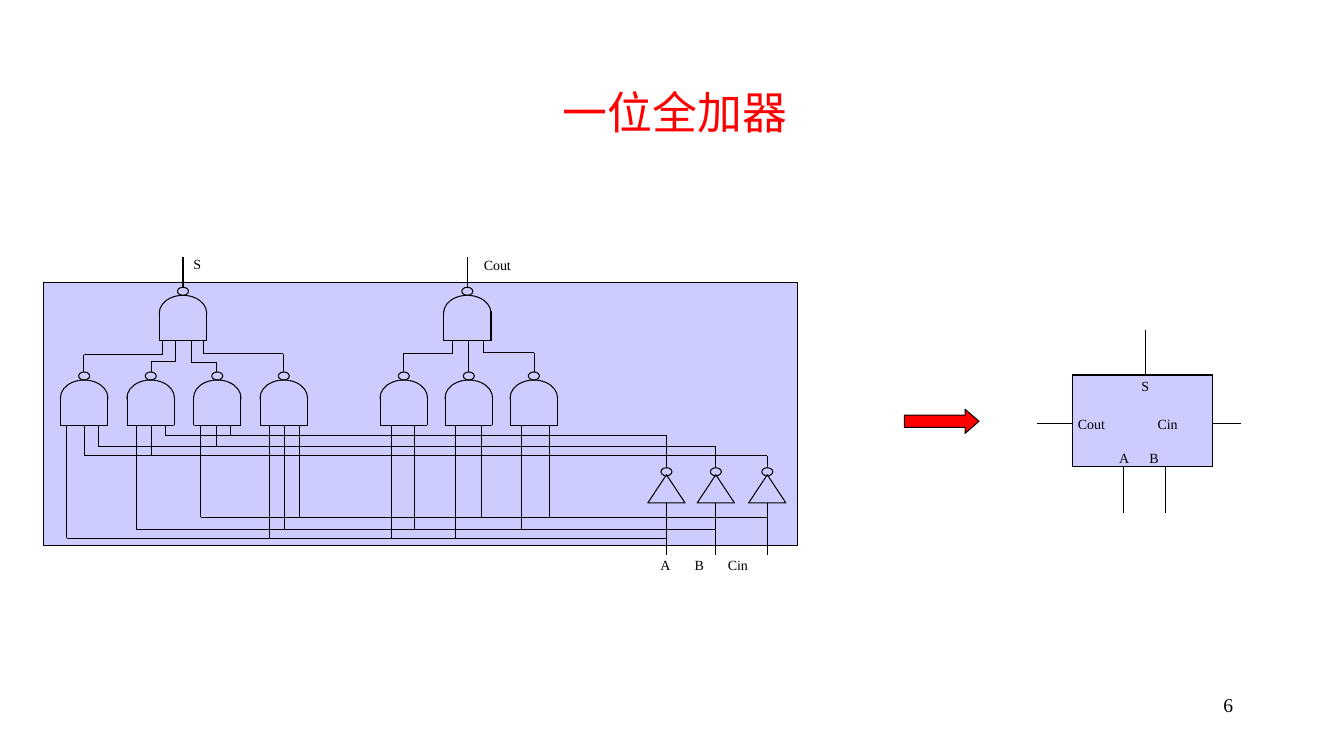
from lxml import etree
from pptx import Presentation
from pptx.dml.color import RGBColor
from pptx.enum.shapes import MSO_CONNECTOR as Connector, MSO_SHAPE as Shape
from pptx.enum.text import MSO_ANCHOR as Anchor, PP_ALIGN as Align
from pptx.oxml.ns import qn
from pptx.util import Inches, Pt

COLORS = {"ink": "000000", "block": "CCCCFF", "accent": "FF0000"}
SERIF = "Times New Roman"

TITLE = "一位全加器"
PAGE_NUMBER = "6"

ADDER_BOX = (0.43, 2.8, 7.48, 2.61)
GATE_WIDTH = 0.47
GATE_BASE = 0.45
OUTPUT_ROW, INPUT_ROW = 2.93, 3.77
OUTPUT_GATES = [1.58, 4.4]
INPUT_GATES = [0.6 + 0.66 * column for column in range(4)]
INPUT_GATES += [3.77 + 0.645 * column for column in range(3)]

GATE_LINKS = [
    (3.52, 1.61), (3.59, 1.74), (3.6, 1.9), (3.51, 2.02),
    (3.51, 4.49), (3.51, 4.65), (3.5, 4.8),
]

INVERTERS = [6.61, 7.1, 7.61]
INVERTER_ROW = 4.71
INVERTER_WIDTH, INVERTER_HEIGHT = 0.37, 0.28
DIRECT_BUSES = [
    (5.34, [0.66, 2.67, 3.88, 4.52]),
    (5.25, [1.35, 2.82, 4.11, 5.17]),
    (5.13, [1.99, 2.97, 4.78, 5.45]),
]
INVERTED_BUSES = [
    (4.32, [1.64, 2.29]),
    (4.43, [0.98, 2.15]),
    (4.52, [0.84, 1.5]),
]

CIRCUIT_LABELS = [
    ("A\tB\tCin", (6.45, 5.47, 1.58, 0.27), [0.34, 0.67]),
    ("S", (1.82, 2.49, 0.3, 0.27), []),
    ("Cout", (4.7, 2.5, 0.66, 0.27), []),
]
SYMBOL_BOX = (10.64, 3.72, 1.39, 0.91)
SYMBOL_LABELS = [
    ("A\tB", (11.1, 4.46, 0.63, 0.17), [0.3]),
    ("Cout\tCin", (10.69, 4.12, 1.35, 0.17), [0.79]),
    ("S", (11.32, 3.75, 0.13, 0.17), []),
]
SYMBOL_PINS = [(11.14, 4.63), (11.56, 4.63), (11.36, 3.27)]
PIN_LENGTH = 0.46


def color(name):
    return RGBColor.from_string(COLORS[name])


def add_part(shapes, kind, box, fill=None, outlined=True):
    shape = shapes.add_shape(kind, *map(Inches, box))
    shape.shadow.inherit = False
    if fill:
        shape.fill.solid()
        shape.fill.fore_color.rgb = color(fill)
    else:
        shape.fill.background()
    if outlined:
        shape.line.color.rgb = color("ink")
        shape.line.width = Pt(0.75)
    else:
        shape.line.fill.background()
    return shape


def add_wire(shapes, *points):
    for start, end in zip(points, points[1:]):
        if start == end:
            continue
        wire = shapes.add_connector(Connector.STRAIGHT, *map(Inches, start + end))
        wire.line.color.rgb = color("ink")
        wire.line.width = Pt(0.75)
        etree.SubElement(wire._element.spPr, qn("a:effectLst"))


def add_text(shapes, text, box, size, font=SERIF, ink="ink", align=Align.LEFT,
             anchor=Anchor.TOP, inset=True, tabs=()):
    frame = shapes.add_textbox(*map(Inches, box)).text_frame
    frame.word_wrap = True
    frame.vertical_anchor = anchor
    if not inset:
        frame.margin_left = frame.margin_right = 0
        frame.margin_top = frame.margin_bottom = 0
    paragraph = frame.paragraphs[0]
    paragraph.text = text
    paragraph.alignment = align
    if tabs:
        tab_list = etree.SubElement(paragraph._p.get_or_add_pPr(), qn("a:tabLst"))
        for position in tabs:
            etree.SubElement(tab_list, qn("a:tab"), pos=str(Inches(position)), algn="l")
    for run in paragraph.runs:
        run.font.size = Pt(size)
        run.font.name = font
        run.font.color.rgb = color(ink)


def add_bubble(shapes, center, bottom):
    add_part(shapes, Shape.OVAL, (center - 0.055, bottom - 0.08, 0.11, 0.08))


def add_gate(shapes, left, top):
    gate = shapes.add_group_shape().shapes
    right, base = left + GATE_WIDTH, top + GATE_BASE
    add_part(gate, Shape.OVAL, (left, top, GATE_WIDTH, 0.35), "block")
    add_part(gate, Shape.RECTANGLE, (left, top + 0.18, GATE_WIDTH, 0.19), "block", False)
    add_wire(gate, (left, top + 0.16), (left, base), (right, base), (right, top + 0.16))
    add_bubble(gate, left + GATE_WIDTH / 2, top)


def add_inverter(shapes, center):
    bottom = INVERTER_ROW + INVERTER_HEIGHT
    add_part(shapes, Shape.FLOWCHART_EXTRACT,
             (center - INVERTER_WIDTH / 2, INVERTER_ROW, INVERTER_WIDTH, INVERTER_HEIGHT))
    add_bubble(shapes, center, INVERTER_ROW + 0.01)
    add_wire(shapes, (center, bottom), (center, 5.51))


def add_bus(shapes, row, taps, end):
    add_wire(shapes, (taps[0], row), (end, row))
    for tap in taps:
        add_wire(shapes, (tap, row), (tap, INPUT_ROW + GATE_BASE))


def add_circuit(shapes):
    add_part(shapes, Shape.RECTANGLE, ADDER_BOX, "block")
    for left in OUTPUT_GATES:
        center = left + GATE_WIDTH / 2
        add_gate(shapes, left, OUTPUT_ROW)
        add_wire(shapes, (center, OUTPUT_ROW - 0.08), (center, 2.55))
    for left, (row, pin) in zip(INPUT_GATES, GATE_LINKS):
        center = round(left + GATE_WIDTH / 2, 2)
        add_gate(shapes, left, INPUT_ROW)
        add_wire(shapes, (center, INPUT_ROW - 0.08), (center, row),
                 (pin, row), (pin, OUTPUT_ROW + GATE_BASE))
    for center, direct, inverted in zip(INVERTERS, DIRECT_BUSES, INVERTED_BUSES):
        add_inverter(shapes, center)
        add_bus(shapes, *direct, center)
        add_bus(shapes, *inverted, center)
        add_wire(shapes, (center, INVERTER_ROW - 0.07), (center, inverted[0]))
    for text, box, tabs in CIRCUIT_LABELS:
        add_text(shapes, text, box, 10, tabs=tabs)


def add_symbol(shapes):
    add_wire(shapes, (10.29, 4.2), (12.31, 4.2))
    add_part(shapes, Shape.RECTANGLE, SYMBOL_BOX, "block")
    for text, box, tabs in SYMBOL_LABELS:
        add_text(shapes, text, box, 10, inset=False, tabs=tabs)
    for left, top in SYMBOL_PINS:
        add_wire(shapes, (left, top), (left, top + PIN_LENGTH))


def main():
    presentation = Presentation()
    presentation.slide_width, presentation.slide_height = Inches(13.33), Inches(7.5)
    slide = presentation.slides.add_slide(presentation.slide_layouts[6])
    shapes = slide.shapes
    add_text(shapes, PAGE_NUMBER, (9.55, 6.83, 2.78, 0.5), 14, align=Align.RIGHT)
    add_circuit(shapes)
    add_symbol(shapes)
    arrow = add_part(shapes, Shape.RIGHT_ARROW, (8.97, 4.06, 0.74, 0.24), "accent")
    arrow.adjustments[1] = 0.576
    add_text(shapes, TITLE, (1.03, 0.48, 11.33, 1.25), 32, "Arial", "accent",
             Align.CENTER, Anchor.MIDDLE)
    presentation.save("out.pptx")


if __name__ == "__main__":
    main()
